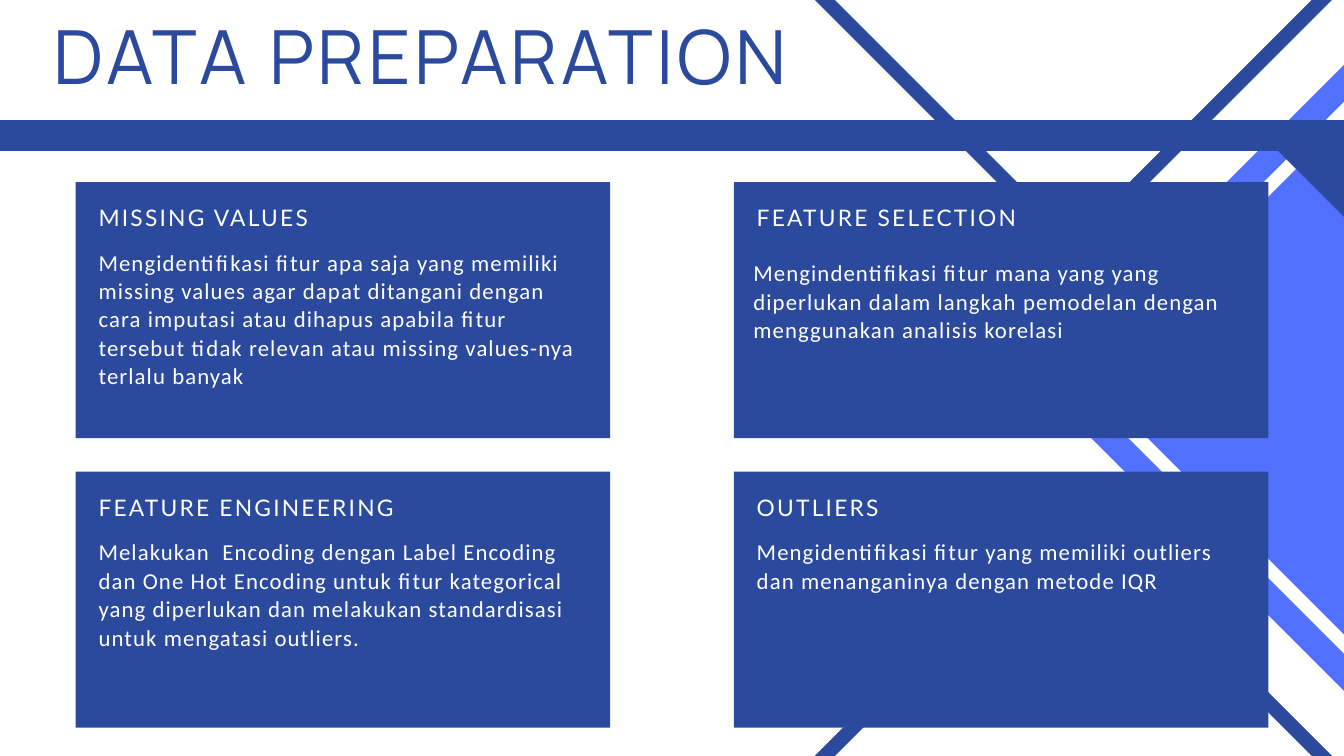
from pptx import Presentation
from pptx.dml.color import RGBColor
from pptx.enum.shapes import MSO_SHAPE
from pptx.enum.text import PP_ALIGN
from pptx.util import Pt

theme = {
    "navy": RGBColor(0x2B, 0x4A, 0x9D),
    "blue": RGBColor(0x52, 0x71, 0xFF),
    "white": RGBColor(0xFF, 0xFF, 0xFF),
    "title": Pt(80),
    "text": Pt(24.4),
}

# Text styles: font, paragraph and letter spacing (hundredths of a point)
title = {
    "font": {"name": "Manrope", "size": theme["title"]},
    "para": {"line_spacing": Pt(84), "alignment": PP_ALIGN.CENTER},
    "color": theme["navy"], "spc": 400,
}
head = {
    "font": {"name": "Lato", "size": theme["text"]},
    "para": {"line_spacing": Pt(34.1), "alignment": PP_ALIGN.LEFT},
    "color": theme["white"], "spc": 240,
}
body = {
    "font": {"name": "Calibri", "size": theme["text"]},
    "para": {"line_spacing": Pt(30.5), "alignment": PP_ALIGN.LEFT},
    "color": theme["white"], "spc": 120,
}

deck = Presentation()
deck.slide_width, deck.slide_height = Pt(1440), Pt(810)
slide = deck.slides.add_slide(deck.slide_layouts[6])
shapes = slide.shapes


def paint(shape, color):
    shape.shadow.inherit = False
    shape.fill.solid()
    shape.fill.fore_color.rgb = color
    shape.line.fill.background()


def write(text, left, top, width, height, style):
    box = shapes.add_textbox(Pt(left), Pt(top), Pt(width), Pt(height))
    frame = box.text_frame
    edges = ("margin_left", "margin_top", "margin_right", "margin_bottom")
    for name, value in {"word_wrap": True, **dict.fromkeys(edges, 0)}.items():
        setattr(frame, name, value)
    para = frame.paragraphs[0]
    run = para.add_run()
    run.text = text
    for name, value in style["para"].items():
        setattr(para, name, value)
    for name, value in style["font"].items():
        setattr(run.font, name, value)
    run.font.color.rgb = style["color"]
    run.font._element.set("spc", str(style["spc"]))


# Diamonds: centre, radii (a second radius cuts a hole), colour
for x, y, radii, color in [
    (1470.2, 404.8, [365.5], theme["blue"]),
    (1470.2, 404.8, [325.8, 305.4], theme["white"]),
    (1150, 876, [343.2, 321.6], theme["navy"]),
    (1150, -66.2, [343.2, 321.6], theme["navy"]),
]:
    path = shapes.build_freeform(Pt(x), Pt(y - radii[0]))
    for r in radii:
        if r != radii[0]:
            path.move_to(Pt(x), Pt(y - r))
        ends = [(x + r, y), (x, y + r), (x - r, y)]
        path.add_line_segments([(Pt(a), Pt(b)) for a, b in ends])
    paint(path.convert_to_shape(), color)

# Title
write("DATA PREPARATION", 0, 22.3, 901.4, 93.6, title)

# Band with its corner triangle
band = shapes.add_shape(MSO_SHAPE.RECTANGLE, 0, Pt(128.6), Pt(1440), Pt(33))
paint(band, theme["navy"])
path = shapes.build_freeform(Pt(1338.5), Pt(131))
path.add_line_segments([(Pt(1467), Pt(131)), (Pt(1467), Pt(259.5))])
paint(path.convert_to_shape(), theme["navy"])

# Cards: column, row, heading, text, shift of the text
cols, rows = [81, 786.2], [195.1, 505.4]
for col, row, name, text, dx, dy in [
    (0, 0, "MISSING VALUES",
     "Mengidentifikasi fitur apa saja yang memiliki missing values agar "
     "dapat ditangani dengan cara imputasi atau dihapus apabila fitur "
     "tersebut tidak relevan atau missing values-nya terlalu banyak", 0, 0),
    (1, 0, "FEATURE SELECTION",
     "Mengindentifikasi fitur mana yang yang diperlukan dalam langkah "
     "pemodelan dengan menggunakan analisis korelasi", -3.6, 11.5),
    (0, 1, "FEATURE ENGINEERING",
     "Melakukan  Encoding dengan Label Encoding dan One Hot Encoding untuk "
     "fitur kategorical yang diperlukan dan melakukan standardisasi untuk "
     "mengatasi outliers.", 0, 0),
    (1, 1, "OUTLIERS",
     "Mengidentifikasi fitur yang memiliki outliers dan menanganinya "
     "dengan metode IQR", 0, 0),
]:
    x, y = cols[col], rows[row]
    card = shapes.add_shape(
        MSO_SHAPE.RECTANGLE, Pt(x), Pt(y), Pt(572.8), Pt(274.3))
    paint(card, theme["navy"])
    write(text, x + 24.6 + dx, y + 69.7 + dy, 524.2, 152, body)
    write(name, x + 24.6, y + 18.3, 524.2, 33.1, head)

deck.save("out.pptx")
